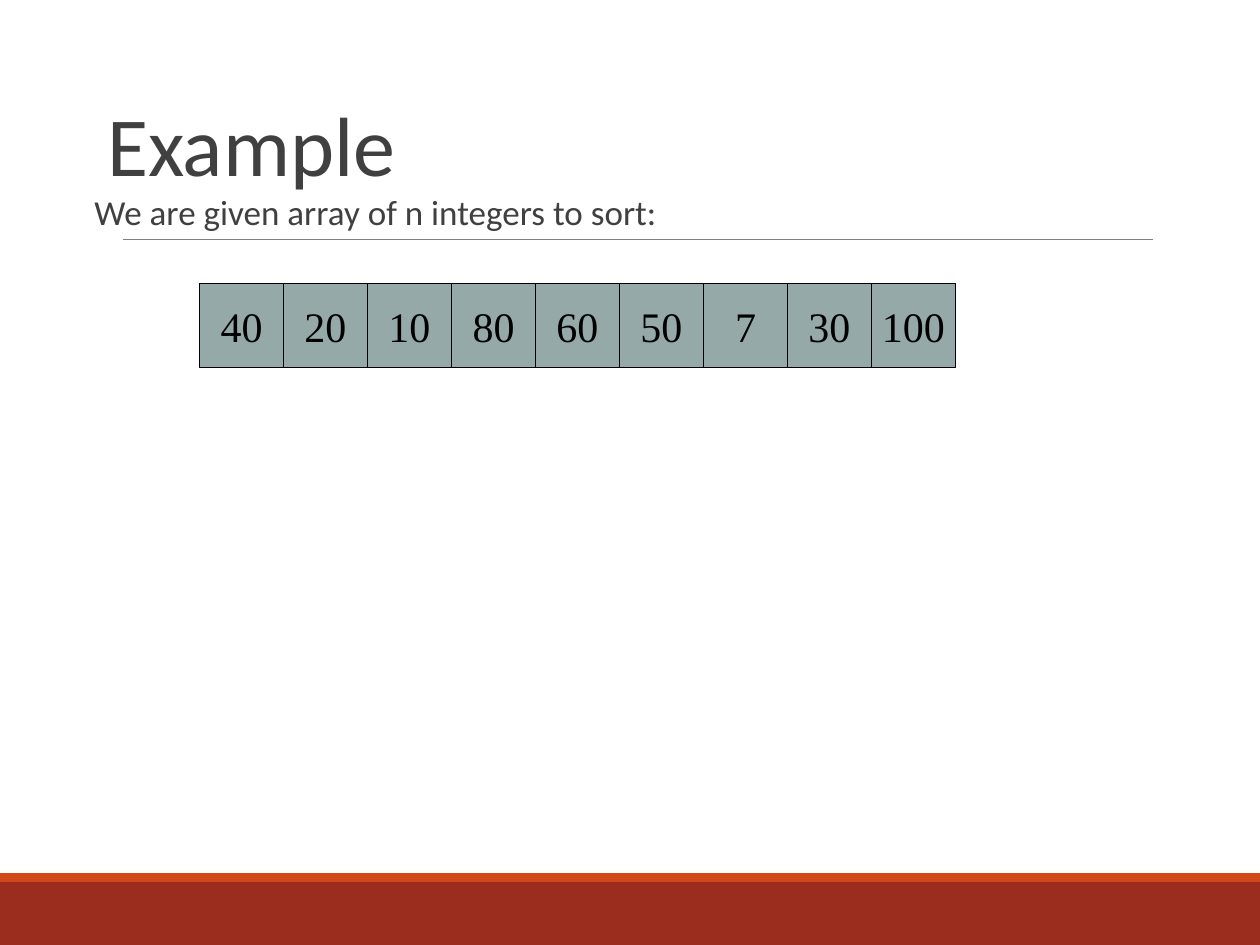
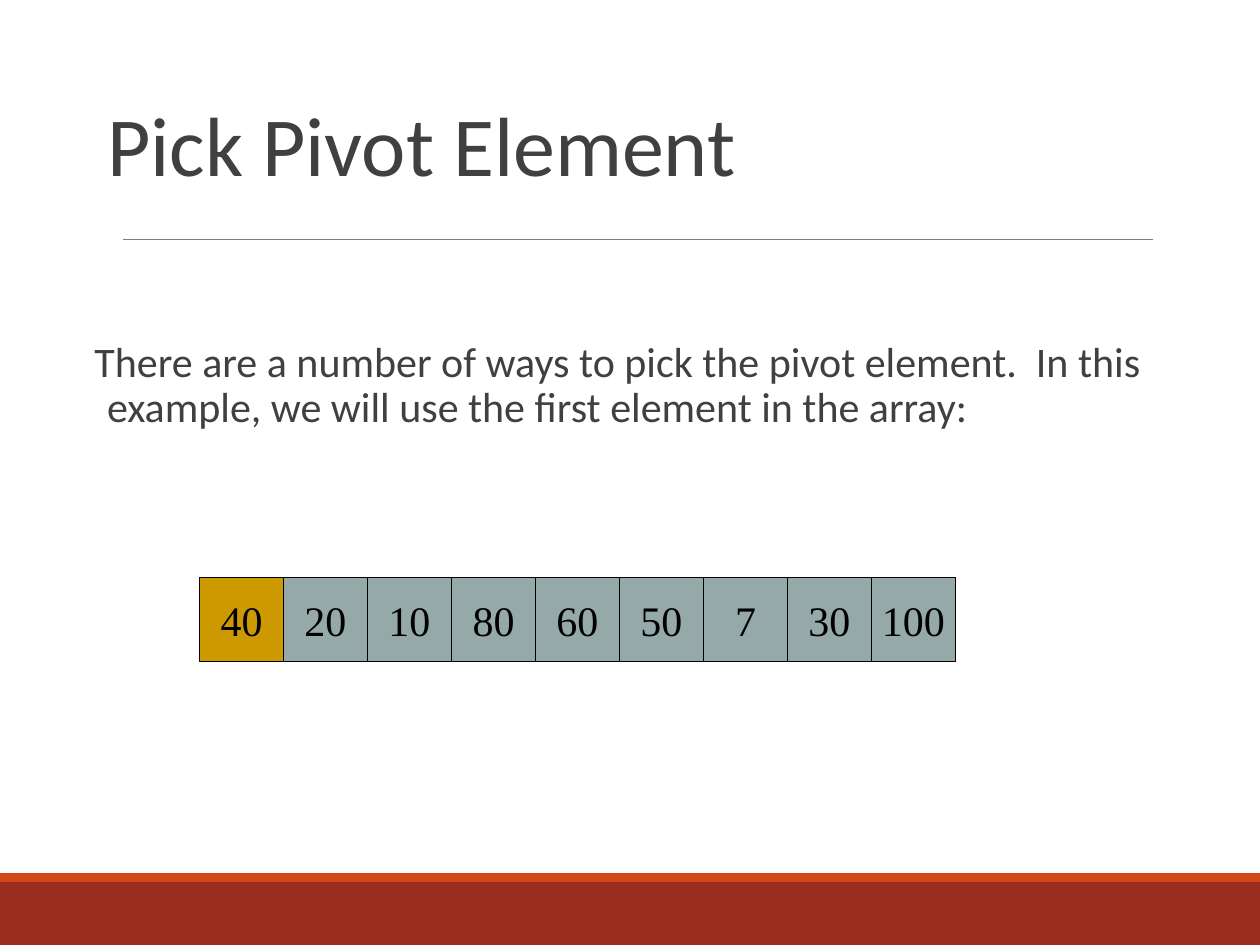
from dataclasses import dataclass
from lxml import etree
from pptx import Presentation
from pptx.dml.color import RGBColor
from pptx.enum.shapes import MSO_CONNECTOR, MSO_SHAPE
from pptx.enum.text import MSO_ANCHOR, MSO_AUTO_SIZE, PP_ALIGN
from pptx.oxml.ns import qn
from pptx.util import Pt

RECT = MSO_SHAPE.RECTANGLE
STRAIGHT = MSO_CONNECTOR.STRAIGHT
TOP, MIDDLE, BOTTOM = MSO_ANCHOR.TOP, MSO_ANCHOR.MIDDLE, MSO_ANCHOR.BOTTOM
LEFT, CENTER = PP_ALIGN.LEFT, PP_ALIGN.CENTER
NO_FIT = MSO_AUTO_SIZE.NONE

VALUES = [40, 20, 10, 80, 60, 50, 7, 30, 100]


@dataclass
class Theme:
    # Colours
    ink: str = "404040"
    rule: str = "7F7F7F"
    band: str = "9B2D1F"
    strip: str = "D34817"
    cell: str = "96A9A9"
    pivot: str = "CC9900"
    black: str = "000000"
    # Fonts and type sizes
    font: str = "Calibri"
    digits: str = "Times New Roman"
    title: int = 48
    body: int = 24
    small: int = 20
    # Array grid
    left: int = 114
    side: int = 48


class Deck:
    def __init__(self, theme):
        self.theme = theme
        self.show = Presentation()
        self.show.slide_width, self.show.slide_height = Pt(720), Pt(540)
        self.slide = None

    def start(self, title):
        """Add a slide with its title, footer bands and rule."""
        t = self.theme
        self.slide = self.show.slides.add_slide(self.show.slide_layouts[5])
        self.box(0, 504, 720, 36, t.band)
        self.box(0, 499, 720, 5, t.strip)
        self.line(70.5, 137, 659, 137)
        head = self.slide.shapes.title
        head.left, head.top, head.width, head.height = map(Pt, (54, 24, 612, 90))
        frame = head.text_frame
        frame.auto_size = NO_FIT
        frame.vertical_anchor = BOTTOM
        self.label(frame, title, t.title, t.font, t.ink, LEFT, 0.85)

    def label(self, frame, text, size, font, color, align, space=1.0):
        """Set and format the text of a frame."""
        frame.text = text
        para = frame.paragraphs[0]
        para.alignment = align
        para.line_spacing = space
        for run in para.runs:
            run.font.size = Pt(size)
            run.font.name = font
            run.font.color.rgb = RGBColor.from_string(color)

    def box(self, x, y, wide, high, fill):
        """Add a plain filled rectangle."""
        shape = self.slide.shapes.add_shape(RECT, Pt(x), Pt(y), Pt(wide), Pt(high))
        shape.shadow.inherit = False
        shape.fill.solid()
        shape.fill.fore_color.rgb = RGBColor.from_string(fill)
        shape.line.fill.background()
        return shape

    def line(self, x1, y1, x2, y2):
        """Add a thin straight rule."""
        rule = self.slide.shapes.add_connector(STRAIGHT, Pt(x1), Pt(y1), Pt(x2), Pt(y2))
        rule.line.color.rgb = RGBColor.from_string(self.theme.rule)
        rule.line.width = Pt(0.5)
        etree.SubElement(rule._element.spPr, qn("a:effectLst"))

    def body(self, text, top, size):
        """Add a paragraph with a hanging indent."""
        t = self.theme
        area = self.slide.shapes.add_textbox(Pt(54), Pt(top), Pt(612), Pt(432 - top))
        frame = area.text_frame
        frame.word_wrap = True
        frame.vertical_anchor = TOP
        frame.margin_left = frame.margin_right = 0
        self.label(frame, text, size, t.font, t.ink, LEFT, 0.9)
        props = frame.paragraphs[0]._p.get_or_add_pPr()
        props.set("marL", str(Pt(7.2)))
        props.set("indent", str(Pt(-7.2)))

    def array(self, values, top, pivot=None):
        """Add a row of square cells, with the pivot cell highlighted."""
        t = self.theme
        for i, value in enumerate(values):
            fill = t.pivot if i == pivot else t.cell
            cell = self.box(t.left + i * t.side, top, t.side, t.side, fill)
            cell.line.color.rgb = RGBColor.from_string(t.black)
            cell.line.width = Pt(0.75)
            frame = cell.text_frame
            frame.word_wrap = False
            frame.vertical_anchor = MIDDLE
            self.label(frame, str(value), t.body, t.digits, t.black, CENTER)


def main():
    theme = Theme()
    deck = Deck(theme)

    # Array to sort
    deck.start("Example")
    deck.body("We are given array of n integers to sort:", 108, theme.small)
    deck.array(VALUES, 162)

    # First element as pivot
    deck.start("Pick Pivot Element")
    deck.body("There are a number of ways to pick the pivot element.  In this "
              "example, we will use the first element in the array:",
              191.5, theme.body)
    deck.array(VALUES, 330, pivot=0)

    deck.show.save("out.pptx")


if __name__ == "__main__":
    main()
